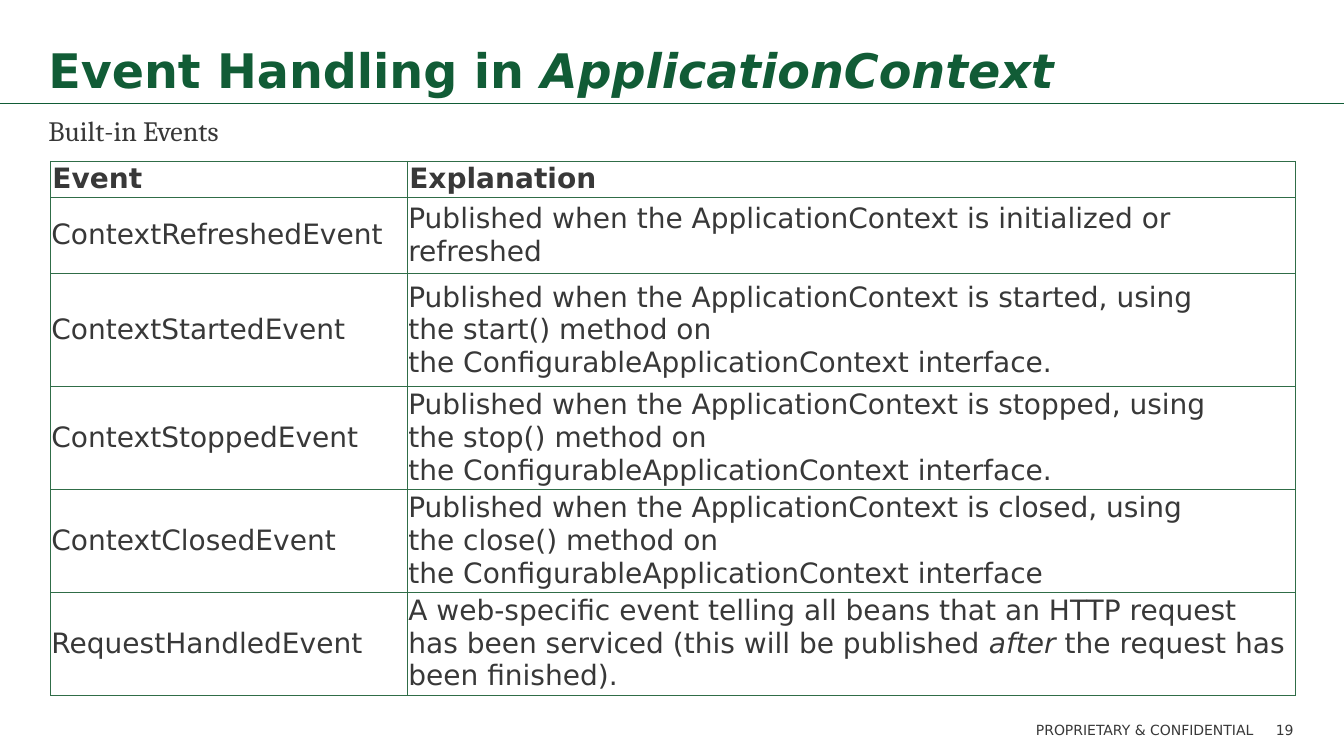
from lxml import etree
from pptx import Presentation
from pptx.dml.color import RGBColor
from pptx.enum.shapes import MSO_CONNECTOR
from pptx.enum.text import MSO_ANCHOR, PP_ALIGN
from pptx.oxml.ns import qn
from pptx.util import Inches, Pt

LEFT, RIGHT = PP_ALIGN.LEFT, PP_ALIGN.RIGHT
TOP, MIDDLE, BOTTOM = MSO_ANCHOR.TOP, MSO_ANCHOR.MIDDLE, MSO_ANCHOR.BOTTOM
STRAIGHT = MSO_CONNECTOR.STRAIGHT
GREEN = RGBColor(0x11, 0x5C, 0x36)
BORDER_GREEN = RGBColor(0x30, 0x6D, 0x48)
GRAY = RGBColor(0x38, 0x38, 0x38)
WHITE = RGBColor(0xFF, 0xFF, 0xFF)
SANS, SERIF = "DejaVu Sans", "Cambria"
NBSP = chr(160)


def add_runs(paragraph, runs, size, color=GRAY, font=SANS, bold=False):
    for text, italic in runs:
        run = paragraph.add_run()
        run.text = text
        run.font.name = font
        run.font.size = Pt(size)
        run.font.bold = bold
        run.font.italic = italic
        run.font.color.rgb = color


def add_text(box, runs, size, anchor=TOP, align=LEFT, after=6, spacing=1.0, **style):
    frame = slide.shapes.add_textbox(*[Inches(v) for v in box]).text_frame
    frame.word_wrap = True
    frame.margin_left = frame.margin_right = 0
    frame.vertical_anchor = anchor
    paragraph = frame.paragraphs[0]
    paragraph.alignment = align
    paragraph.space_after = Pt(after)
    paragraph.line_spacing = spacing
    add_runs(paragraph, runs, size, **style)


prs = Presentation()
prs.slide_width, prs.slide_height = Inches(13.33), Inches(7.5)
slide = prs.slides.add_slide(prs.slide_layouts[6])
slide.background.fill.solid()
slide.background.fill.fore_color.rgb = WHITE

title_rule = slide.shapes.add_connector(
    STRAIGHT, 0, Inches(1.03), Inches(13.33), Inches(1.03))
title_rule.line.color.rgb = GREEN
title_rule.line.width = Pt(0.5)
etree.SubElement(title_rule._element.spPr, qn("a:effectLst"))

add_text((0.48, 0.09, 12.35, 0.94),
         [("Event Handling in ", False), ("ApplicationContext", True)],
         34, anchor=BOTTOM, after=0, spacing=0.9, color=GREEN, bold=True)
add_text((0.48, 1.08, 12.35, 0.81), [("Built-in Events", False)], 20, font=SERIF)
add_text((8.09, 7.11, 4.34, 0.36), [("PROPRIETARY & CONFIDENTIAL", False)],
         10, align=RIGHT)
add_text((12.43, 7.11, 0.4, 0.36), [("19", False)], 10, align=RIGHT)

published = f"Published when the{NBSP}ApplicationContext{NBSP}is "
events = [
    ("Event", [("Explanation", False)]),
    ("ContextRefreshedEvent", [(published + "initialized or refreshed", False)]),
]
for event, state, method, ending in [
    ("ContextStartedEvent", "started", "start()", "."),
    ("ContextStoppedEvent", "stopped", "stop()", "."),
    ("ContextClosedEvent", "closed", "close()", ""),
]:
    explanation = (f"{published}{state}, using the{NBSP}{method}{NBSP}method on "
                   f"the{NBSP}ConfigurableApplicationContext{NBSP}interface{ending}")
    events.append((event, [(explanation, False)]))
events.append(("RequestHandledEvent", [
    ("A web-specific event telling all beans that an HTTP request has been "
     f"serviced (this will be published{NBSP}", False),
    ("after", True),
    (f"{NBSP}the request has been finished).", False),
]))

column_widths = [3.54, 8.81]
row_heights = [0.35, 0.76, 1.12, 1.02, 1.02, 1.02]
event_table = slide.shapes.add_table(
    len(events), 2, Inches(0.5), Inches(1.6),
    Inches(sum(column_widths)), Inches(sum(row_heights))).table
event_table.horz_banding = False
for column, width in zip(event_table.columns, column_widths):
    column.width = Inches(width)

for row_index, (event, explanation) in enumerate(events):
    event_table.rows[row_index].height = Inches(row_heights[row_index])
    is_header = row_index == 0
    for column_index, runs in enumerate([[(event, False)], explanation]):
        cell = event_table.cell(row_index, column_index)
        cell.vertical_anchor = MIDDLE
        cell.margin_left = cell.margin_right = Inches(0.02 if is_header else 0.01)
        cell.margin_top = cell.margin_bottom = Inches(0.01)
        add_runs(cell.text_frame.paragraphs[0], runs, 20, bold=is_header)
        properties = cell._tc.get_or_add_tcPr()
        for side in ("a:lnL", "a:lnR", "a:lnT", "a:lnB"):
            border = etree.SubElement(properties, qn(side), w=str(Pt(0.5)))
            border_fill = etree.SubElement(border, qn("a:solidFill"))
            etree.SubElement(border_fill, qn("a:srgbClr"), val=str(BORDER_GREEN))
        cell.fill.solid()
        cell.fill.fore_color.rgb = WHITE

prs.save("out.pptx")
